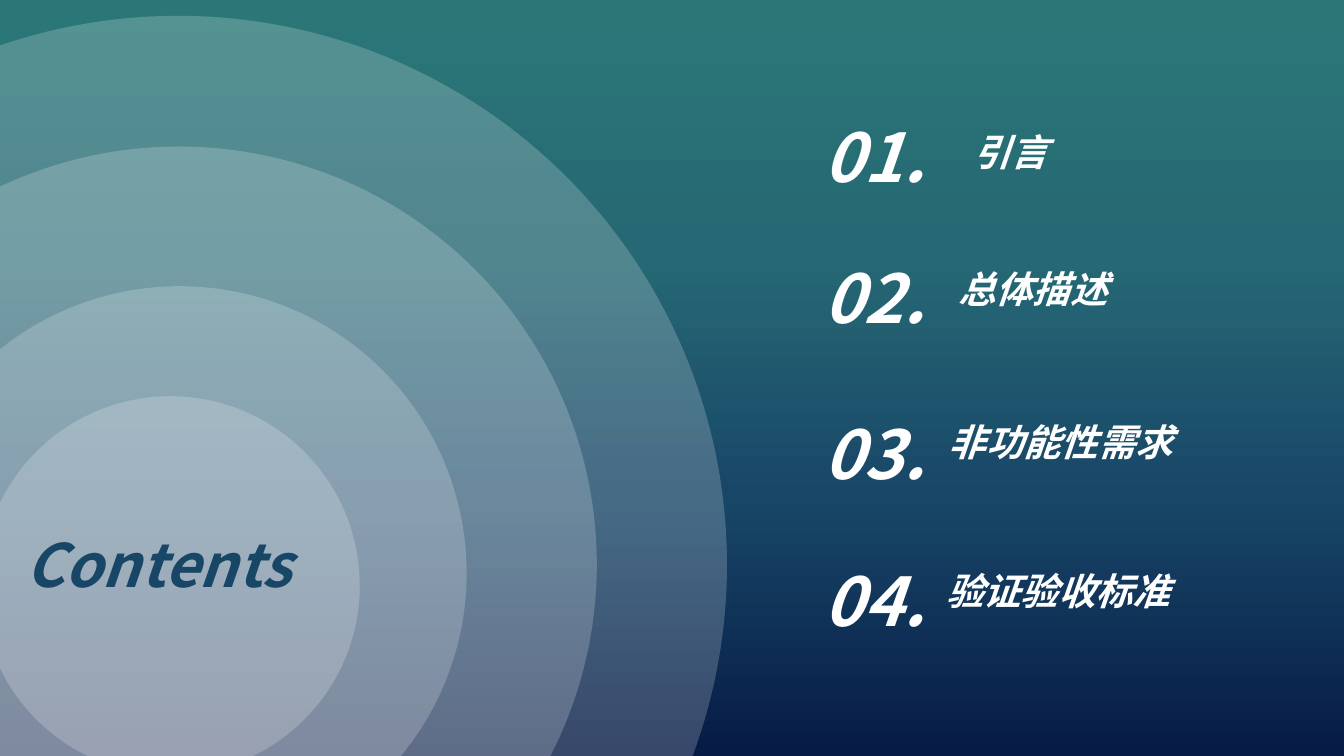
from lxml import etree
from pptx import Presentation
from pptx import util as u
from pptx.dml.color import RGBColor
from pptx.enum import shapes, text
from pptx.oxml import ns

FONT = "Noto Sans CJK SC"
WHITE = RGBColor(0xFF, 0xFF, 0xFF)
BLUE = RGBColor(0x18, 0x46, 0x67)
BACKDROP = [
    (0, RGBColor(0x2B, 0x77, 0x77)),
    (34, RGBColor(0x26, 0x68, 0x74)),
    (66, BLUE),
    (100, RGBColor(0x06, 0x1B, 0x46)),
]
RINGS = [
    (0, 0, 20.75),
    (2.49, 2.47, 15.8),
    (4.98, 5.11, 10.85),
    (6.65, 7.19, 7.16),
]
TOPICS = [
    ("01.", "引言", 2.06, 2.82, 0.25),
    ("02.", "总体描述", 4.72, 2.54, 0.18),
    ("03.", "非功能性需求", 7.67, 2.36, 0.13),
    ("04.", "验证验收标准", 10.44, 2.31, 0.18),
]


def paint_backdrop(page):
    fill = page.background.fill
    fill.gradient()
    fill.gradient_angle = 270
    stops = fill.gradient_stops
    stop_list = page.background._cSld.find(".//" + ns.qn("a:gsLst"))
    for stop in list(stop_list):
        stop_list.remove(stop)
    for position, color in BACKDROP:
        stop = etree.SubElement(stop_list, ns.qn("a:gs"), pos=str(position * 1000))
        etree.SubElement(stop, ns.qn("a:srgbClr"), val=str(color))


def add_label(page, words, left, top, width, height, size, color):
    box = page.shapes.add_textbox(u.Cm(left), u.Cm(top), u.Cm(width), u.Cm(height))
    frame = box.text_frame
    frame.word_wrap = False
    frame.auto_size = text.MSO_AUTO_SIZE.SHAPE_TO_FIT_TEXT
    span = frame.paragraphs[0].add_run()
    span.text = words
    span.font.size = u.Pt(size)
    span.font.name = FONT
    span.font.bold = True
    span.font.italic = True
    span.font.color.rgb = color
    etree.SubElement(span.font._element, ns.qn("a:ea"), typeface=FONT)


def add_rings(page, left, top):
    group = page.shapes.add_group_shape()
    for across, down, size in RINGS:
        ring = group.shapes.add_shape(
            shapes.MSO_SHAPE.OVAL,
            u.Cm(left + across), u.Cm(top + down), u.Cm(size), u.Cm(size),
        )
        ring.shadow.inherit = False
        ring.line.fill.background()
        ring.fill.solid()
        ring.fill.fore_color.rgb = WHITE
        color = ring.fill._xPr.find(".//" + ns.qn("a:srgbClr"))
        etree.SubElement(color, ns.qn("a:alpha"), val="20000")


def add_topic(page, left, top, number, title, indent, drop):
    add_label(page, number, left, top, 2.67, 1.8, 36, WHITE)
    width = 0.51 + 0.71 * len(title)
    add_label(page, title, left + indent, top + drop, width, 1.11, 20, WHITE)


def main():
    deck = Presentation()
    deck.slide_width = u.Cm(25.4)
    deck.slide_height = u.Cm(14.29)
    page = deck.slides.add_slide(deck.slide_layouts[6])
    paint_backdrop(page)
    add_rings(page, -7.01, 0.3)
    add_label(page, "Contents", 0.23, 9.86, 5.99, 1.63, 32, BLUE)
    for number, title, top, indent, drop in TOPICS:
        add_topic(page, 15.32, top, number, title, indent, drop)
    deck.save("out.pptx")


if __name__ == "__main__":
    main()
